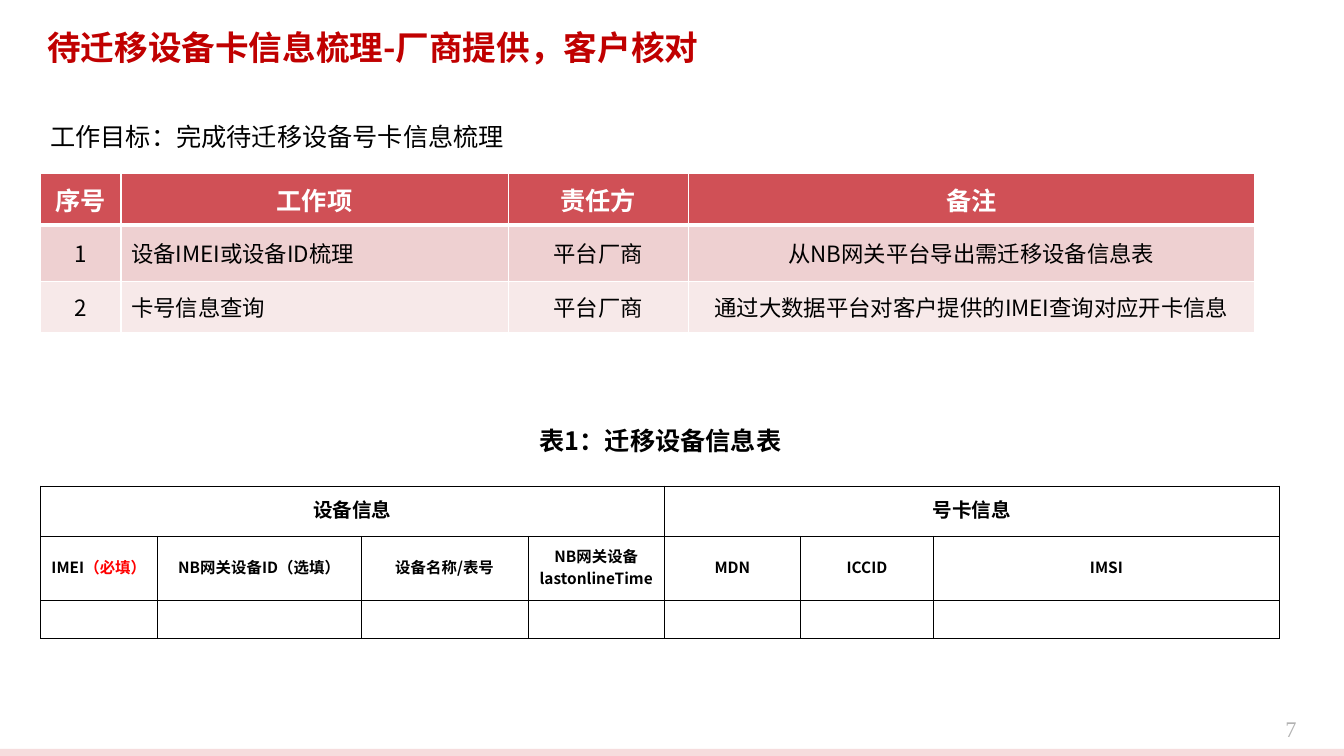
import itertools

import pptx
import pptx.dml.color
import pptx.enum.shapes
import pptx.enum.text
import pptx.oxml.ns
import pptx.util
from lxml import etree

Inches = pptx.util.Inches
Pt = pptx.util.Pt
ALIGN = pptx.enum.text.PP_ALIGN
MIDDLE = pptx.enum.text.MSO_ANCHOR.MIDDLE
qn = pptx.oxml.ns.qn

WIDTH, HEIGHT = 13.33, 7.5
SANS, SERIF = "Noto Sans CJK SC", "Times New Roman"
MARGIN = 0.4


def color(hex_text):
    return pptx.dml.color.RGBColor.from_string(hex_text)


def write(frame, text, size=18, ink="000000", bold=False, font=SANS,
          align=ALIGN.LEFT, spacing=None):
    """Add a run to the first paragraph; empty text only sets its size."""
    paragraph = frame.paragraphs[0]
    paragraph.alignment = align
    if spacing:
        paragraph.line_spacing = spacing
    if not text:
        etree.SubElement(paragraph._p, qn("a:endParaRPr"), sz=str(size * 100))
        return
    run = paragraph.add_run()
    run.text = text
    run.font.size = Pt(size)
    run.font.bold = bold
    run.font.name = font
    run.font.color.rgb = color(ink)
    etree.SubElement(run.font._element, qn("a:ea"), typeface=SANS)


def add_text(slide, box, text, wrap=False, anchor=None, **style):
    frame = slide.shapes.add_textbox(*map(Inches, box)).text_frame
    frame.word_wrap = wrap
    if anchor is not None:
        frame.vertical_anchor = anchor
    write(frame, text, **style)


def set_borders(cell, ink, left=1, right=1, top=1, bottom=1):
    """Widths are in points; borders go before the fill in the cell."""
    properties = cell._tc.get_or_add_tcPr()
    widths = {"a:lnL": left, "a:lnR": right, "a:lnT": top, "a:lnB": bottom}
    for position, (tag, width) in enumerate(widths.items()):
        line = etree.Element(qn(tag), w=str(Pt(width)))
        fill = etree.SubElement(line, qn("a:solidFill"))
        etree.SubElement(fill, qn("a:srgbClr"), val=ink)
        properties.insert(position, line)


def add_grid(slide, left, top, columns, rows):
    table = slide.shapes.add_table(
        len(rows), len(columns), Inches(left), Inches(top),
        Inches(sum(columns)), Inches(sum(rows))).table
    table.first_row = table.horz_banding = False
    for column, width in zip(table.columns, columns):
        column.width = Inches(width)
    for row, height in zip(table.rows, rows):
        row.height = Inches(height)
    for cell in table.iter_cells():
        cell.vertical_anchor = MIDDLE
    return table


def add_work_items(slide, left, top):
    items = [
        ("序号", "工作项", "责任方", "备注"),
        ("1", "设备IMEI或设备ID梳理", "平台厂商", "从NB网关平台导出需迁移设备信息表"),
        ("2", "卡号信息查询", "平台厂商", "通过大数据平台对客户提供的IMEI查询对应开卡信息"),
    ]
    fills = ["D05056", "EED0D1", "F7E9E9"]
    table = add_grid(slide, left, top, [0.8, 3.84, 1.79, 5.61], [0.51, 0.56, 0.51])
    header = dict(size=18, ink="FFFFFF", bold=True, font=SERIF)
    for row, column in itertools.product(range(3), range(4)):
        cell = table.cell(row, column)
        cell.fill.solid()
        cell.fill.fore_color.rgb = color(fills[row])
        set_borders(cell, "FFFFFF", top=3 if row == 1 else 1, bottom=3 if row == 0 else 1)
        is_item_name = row > 0 and column == 1
        write(cell.text_frame, items[row][column],
              align=ALIGN.LEFT if is_item_name else ALIGN.CENTER,
              **(header if row == 0 else dict(size=16)))


def add_device_form(slide, left, top):
    groups = {0: ("设备信息", 3), 4: ("号卡信息", 6)}
    fields = ["IMEI", "NB网关设备ID（选填）", "设备名称/表号", "NB网关设备lastonlineTime",
              "MDN", "ICCID", "IMSI"]
    table = add_grid(slide, left, top, [1.16, 2.02, 1.66, 1.35, 1.35, 1.32, 3.43],
                     [0.5, 0.64, 0.37])
    for cell in table.iter_cells():
        cell.fill.background()
        set_borders(cell, "000000", 0.5, 0.5, 0.5, 0.5)
        cell.margin_left = cell.margin_right = cell.margin_top = Inches(0.01)
        cell.margin_bottom = Inches(0.05)
    for first, (group, last) in groups.items():
        table.cell(0, first).merge(table.cell(0, last))
        write(table.cell(0, first).text_frame, group, size=14, bold=True, align=ALIGN.CENTER)
    label = dict(size=11, bold=True, align=ALIGN.CENTER)
    for column, field in enumerate(fields):
        write(table.cell(1, column).text_frame, field, **label)
        write(table.cell(2, column).text_frame, "", size=11)
    write(table.cell(1, 0).text_frame, "（必填）", ink="FF0000", **label)


def add_footer(slide, top):
    band = slide.shapes.add_shape(
        pptx.enum.shapes.MSO_SHAPE.RECTANGLE,
        0, Inches(top), Inches(WIDTH), Inches(HEIGHT - top))
    band.shadow.inherit = False
    band.fill.solid()
    band.fill.fore_color.rgb = color("F6DCDD")
    band.line.fill.background()
    add_text(slide, (12.65, top - 0.38, 0.3, 0.37), "7", size=16, ink="B2B2B2", font=SERIF)


def main():
    deck = pptx.Presentation()
    deck.slide_width, deck.slide_height = Inches(WIDTH), Inches(HEIGHT)
    slide = deck.slides.add_slide(deck.slide_layouts[6])
    add_footer(slide, 7.43)
    add_text(slide, (0.37, 0.13, 11.28, 0.72), "待迁移设备卡信息梳理-厂商提供，客户核对",
             wrap=True, anchor=MIDDLE, size=24, ink="C00000", bold=True, spacing=0.9)
    add_text(slide, (MARGIN, 1.15, 4.75, 0.4), "工作目标：完成待迁移设备号卡信息梳理")
    add_work_items(slide, MARGIN, 1.72)
    add_text(slide, (5.06, 4.17, 2.98, 0.4), "表1：迁移设备信息表",
             bold=True, align=ALIGN.CENTER)
    add_device_form(slide, MARGIN, 4.82)
    deck.save("out.pptx")


if __name__ == "__main__":
    main()
